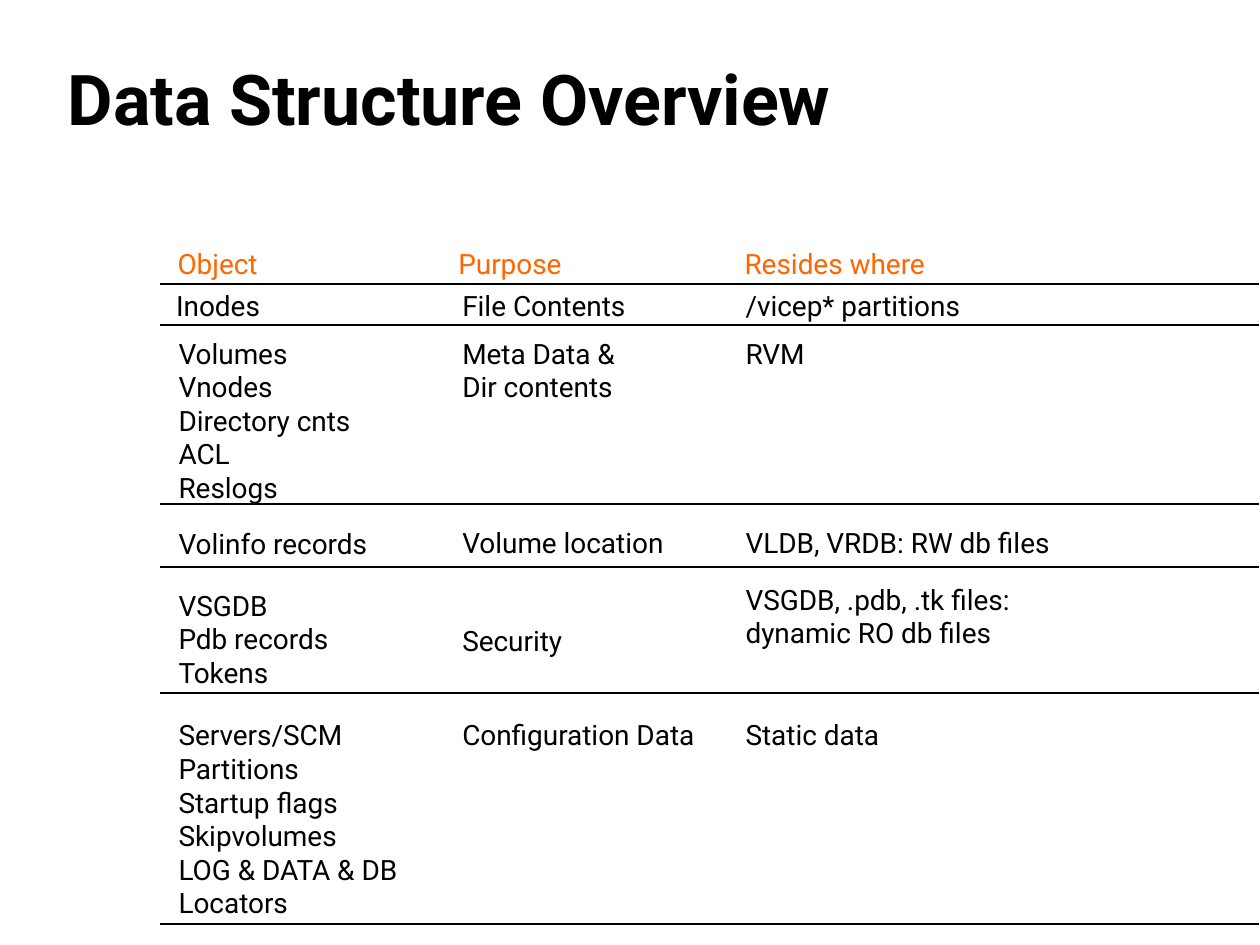
from pptx import Presentation
from pptx.dml.color import RGBColor
from pptx.enum.shapes import MSO_CONNECTOR as Connector
from pptx.enum.text import MSO_ANCHOR as Anchor, MSO_AUTO_SIZE as AutoSize
from pptx.oxml.ns import qn
from pptx.util import Cm, Pt
from lxml import etree

BLACK, ORANGE = "000000", "FF6600"
LINE_HEIGHT = 0.68


def color(hex_code):
    return RGBColor.from_string(hex_code)


def add_text(left, top, width, height, lines, size, hex_code, bold=False):
    box = slide.shapes.add_textbox(Cm(left), Cm(top), Cm(width), Cm(height))
    frame = box.text_frame
    frame.word_wrap = True
    for i, line in enumerate(lines):
        paragraph = frame.paragraphs[0] if i == 0 else frame.add_paragraph()
        run = paragraph.add_run()
        run.text = line
        run.font.name = "Roboto"
        run.font.size = Pt(size)
        run.font.bold = bold
        run.font.color.rgb = color(hex_code)
    return frame


prs = Presentation()
prs.slide_width, prs.slide_height = Cm(25.4), Cm(19.05)
slide = prs.slides.add_slide(prs.slide_layouts[6])

# Title
title = add_text(1.12, 0.2, 21.59, 2.74, ["Data Structure Overview"], 40, BLACK, True)
title.vertical_anchor = Anchor.BOTTOM

# Column headings
for left, width, heading in [
    (3.33, 2.24, "Object"),
    (8.99, 2.69, "Purpose"),
    (14.76, 6.22, "Resides where"),
]:
    add_text(left, 4.85, width, 0.91, [heading], 16, ORANGE)

# Entries by column: left edge, then (top, width, lines)
columns = [
    (3.35, [
        (6.65, 5.56, ["Volumes", "Vnodes", "Directory cnts", "ACL", "Reslogs"]),
        (10.49, 5.56, ["Volinfo records"]),
        (11.73, 5.56, ["VSGDB", "Pdb records", "Tokens"]),
        (14.35, 5.56, ["Servers/SCM", "Partitions", "Startup flags",
                       "Skipvolumes", "LOG & DATA & DB Locators"]),
    ]),
    (3.3, [
        (5.69, 2.31, ["Inodes"]),
    ]),
    (9.07, [
        (5.69, 5.56, ["File Contents"]),
        (6.65, 5.56, ["Meta Data &", "Dir contents"]),
        (10.46, 6.83, ["Volume location"]),
        (12.45, 5.56, ["Security"]),
        (14.35, 5.56, ["Configuration Data"]),
    ]),
    (14.78, [
        (5.69, 8.53, ["/vicep* partitions"]),
        (6.65, 5.56, ["RVM"]),
        (10.46, 8.31, ["VLDB, VRDB: RW db files"]),
        (11.61, 9.58, ["VSGDB, .pdb, .tk files:", "dynamic RO db files"]),
        (14.35, 5.56, ["Static data"]),
    ]),
]
for left, entries in columns:
    for top, width, lines in entries:
        height = 0.91 + LINE_HEIGHT * (len(lines) - 1)
        entry = add_text(left, top, width, height, lines, 16, BLACK)
        entry.auto_size = AutoSize.SHAPE_TO_FIT_TEXT

# Row rules
for y in (5.72, 6.55, 10.16, 11.43, 13.97, 18.62):
    rule = slide.shapes.add_connector(
        Connector.STRAIGHT, Cm(3.23), Cm(y), Cm(25.37), Cm(y))
    rule.line.color.rgb = color(BLACK)
    rule.line.width = Pt(1)
    etree.SubElement(rule._element.spPr, qn("a:effectLst"))

prs.save("out.pptx")
